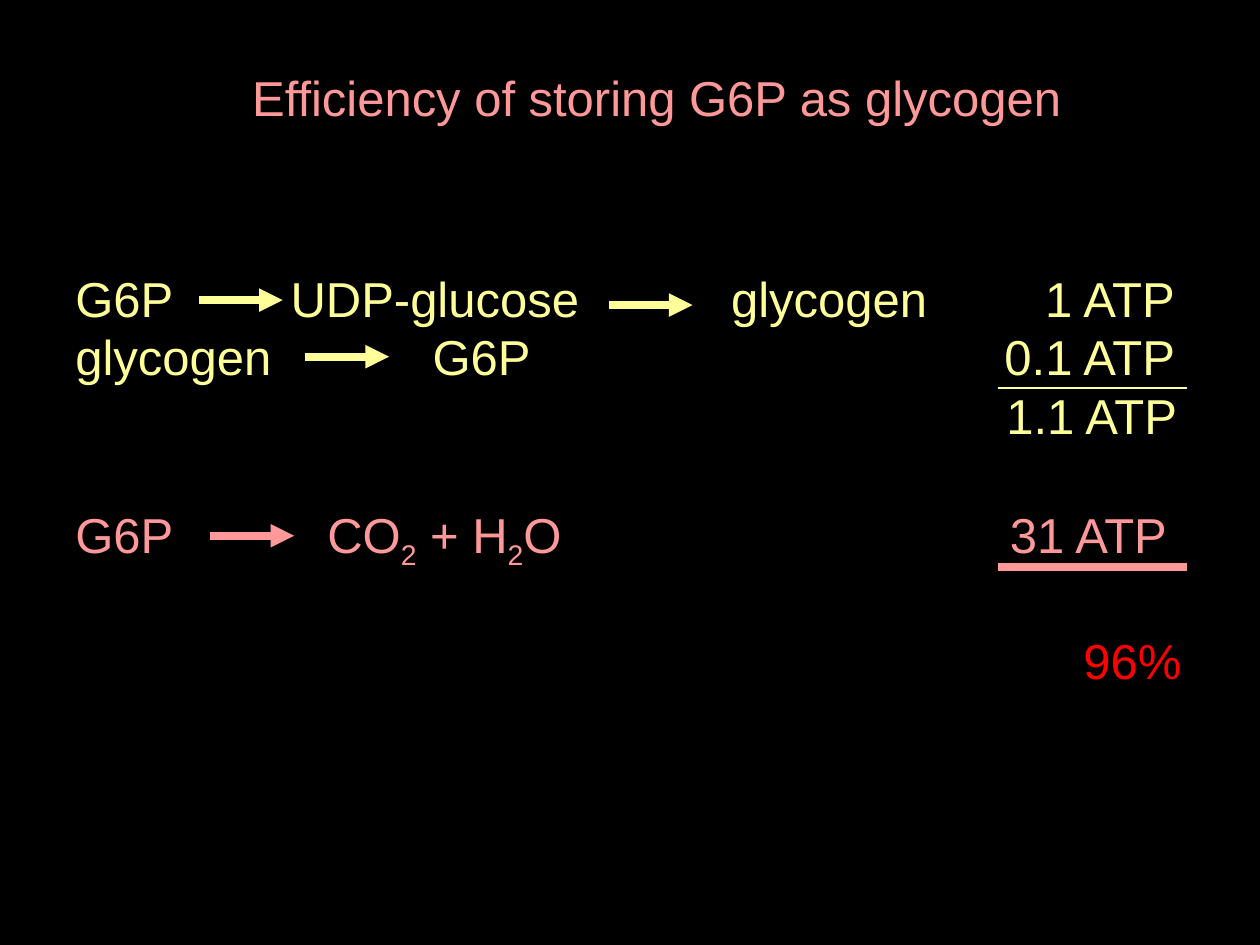
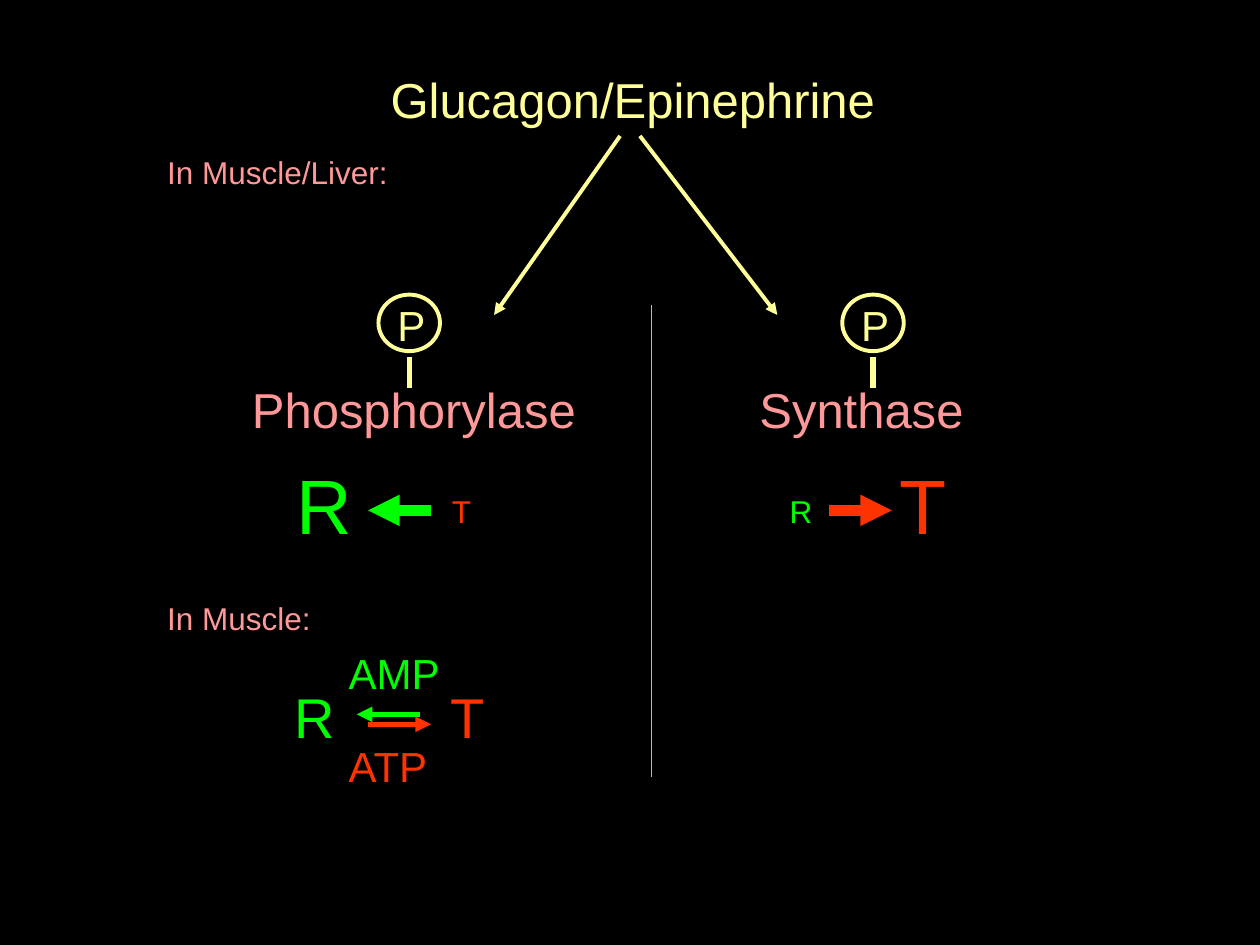
from lxml.etree import SubElement
from pptx import Presentation
from pptx.dml.color import RGBColor
from pptx.enum.shapes import MSO_CONNECTOR as Conn, MSO_SHAPE as Shape
from pptx.enum.text import MSO_ANCHOR as Anchor, PP_ALIGN as Align
from pptx.oxml.ns import qn
from pptx.util import Cm, Pt

FONT = "Arial"
BLACK, PINK, YELLOW = "000000", "FF9999", "FFFF99"
GREEN, ORANGE, RED = "00FF00", "FF3300", "FF0000"
BODY_SIZE = 28
BLANK_LINE = 34

EFFICIENCY_TITLE = ("Efficiency of storing G6P as glycogen", 4.83, 1.24, 16.89, PINK)
HORMONE_TITLE = ("Glucagon/Epinephrine", 7.62, 1.27, 10.31, YELLOW)

# pieces alternate between normal text and subscript
REACTIONS = [
    (0, YELLOW, [4.34, 13.22, 19.55], ["G6P\tUDP-glucose\tglycogen\t1 ATP"]),
    (0, YELLOW, [7.2, 18.73], ["glycogen\tG6P\t0.1 ATP"]),
    (0, YELLOW, [18.77], ["\t1.1 ATP"]),
    (BLANK_LINE, PINK, [5.08, 18.84], ["G6P\tCO", "2", " + H", "2", "O\t31 ATP"]),
    (BLANK_LINE, RED, [20.32], ["\t96%"]),
]
REACTION_ARROWS = [
    (4.01, 6.05, YELLOW),
    (12.27, 6.15, YELLOW),
    (6.15, 7.19, YELLOW),
    (4.24, 10.8, PINK),
]
SUM_RULES = [(7.82, YELLOW, 1.5), (11.43, PINK, 4.5)]

LABELS = [
    ("In Muscle/Liver:", 3.12, 2.97, 4.95, 18, PINK),
    ("Phosphorylase", 4.83, 7.52, 7.06, 28, PINK),
    ("Synthase", 15.06, 7.52, 4.62, 28, PINK),
    ("R", 5.72, 9.09, 1.63, 44, GREEN),
    ("T", 8.86, 9.8, 0.89, 18, ORANGE),
    ("R", 15.67, 9.8, 0.97, 18, GREEN),
    ("T", 17.88, 9.09, 1.45, 44, ORANGE),
    ("In Muscle:", 3.12, 11.96, 3.4, 18, PINK),
    ("R", 5.69, 13.64, 1.32, 32, GREEN),
    ("T", 8.84, 13.64, 1.19, 32, ORANGE),
    ("AMP", 6.78, 12.93, 2.34, 24, GREEN),
    ("ATP", 6.78, 14.81, 2.16, 24, ORANGE),
]
PATHWAY_ARROWS = [
    (12.5, 2.74, 9.96, 6.35, YELLOW, 2.25),
    (12.9, 2.74, 15.67, 6.35, YELLOW, 2.25),
    (8.69, 10.29, 7.42, 10.29, GREEN, 6),
    (16.71, 10.29, 17.98, 10.29, ORANGE, 6),
    (8.46, 14.4, 7.19, 14.4, GREEN, 3),
    (7.42, 14.6, 8.69, 14.6, ORANGE, 3),
]
DIVIDER = (13.13, 6.15, 13.13, 15.67, PINK, 0.75)
PHOSPHATE_CENTRES = [8.25, 17.6]


def rgb(value):
    return RGBColor.from_string(value)


def line_height(size):
    return Cm(size * 0.0423 + 0.25)


def style(p, size, color):
    p.alignment = Align.LEFT
    p.font.name, p.font.size = FONT, Pt(size)
    p.font.color.rgb = rgb(color)


def add_label(shapes, text, x, y, w, size, color):
    sp = shapes.add_textbox(Cm(x), Cm(y), Cm(w), line_height(size))
    tf = sp.text_frame
    tf.word_wrap = False
    tf.text = text
    style(tf.paragraphs[0], size, color)


def add_line(s, x1, y1, x2, y2, color, width, arrow=False):
    c = s.shapes.add_connector(Conn.STRAIGHT, Cm(x1), Cm(y1), Cm(x2), Cm(y2))
    c.line.color.rgb = rgb(color)
    c.line.width = Pt(width)
    if arrow:
        SubElement(c.line._get_or_add_ln(), qn("a:tailEnd"), type="triangle")
    SubElement(c._element.spPr, qn("a:effectLst"))


def add_slide(prs, text, x, y, w, color):
    s = prs.slides.add_slide(prs.slide_layouts[5])
    sp = s.shapes.title
    sp.left, sp.top, sp.width, sp.height = Cm(x), Cm(y), Cm(w), line_height(BODY_SIZE)
    tf = sp.text_frame
    tf.text = text
    tf.word_wrap = False
    tf.vertical_anchor = Anchor.TOP
    style(tf.paragraphs[0], BODY_SIZE, color)
    return s


def add_reactions(s):
    sp = s.shapes.add_textbox(Cm(1.27), Cm(5.28), Cm(22.96), Cm(9.75))
    tf = sp.text_frame
    tf.word_wrap = True
    for i, (gap, color, tabs, pieces) in enumerate(REACTIONS):
        p = tf.add_paragraph() if i else tf.paragraphs[0]
        tab_list = SubElement(p._p.get_or_add_pPr(), qn("a:tabLst"))
        for tab in tabs:
            SubElement(tab_list, qn("a:tab"), pos=str(int(Cm(tab))), algn="l")
        style(p, BODY_SIZE, color)
        p.space_before = Pt(gap)
        for j, piece in enumerate(pieces):
            r = p.add_run()
            r.text = piece
            if j % 2:
                r._r.get_or_add_rPr().set("baseline", "-25000")


def add_phosphate(s, centre):
    group = s.shapes.add_group_shape()
    add_label(group.shapes, "P", centre - 0.49, 5.92, 1.07, 24, YELLOW)
    sp = group.shapes.add_shape(
        Shape.OVAL, Cm(centre - 0.62), Cm(5.94), Cm(1.24), Cm(1.14))
    sp.shadow.inherit = False
    sp.fill.background()
    sp.line.color.rgb = rgb(YELLOW)
    sp.line.width = Pt(2.25)
    add_line(s, centre, 7.19, centre, 7.82, YELLOW, 3)


def build_efficiency(prs):
    s = add_slide(prs, *EFFICIENCY_TITLE)
    add_reactions(s)
    for x, y, color in REACTION_ARROWS:
        add_line(s, x, y, x + 1.69, y, color, 4.5, arrow=True)
    for y, color, width in SUM_RULES:
        add_line(s, 20.12, y, 23.93, y, color, width)


def build_hormones(prs):
    s = add_slide(prs, *HORMONE_TITLE)
    for label in LABELS:
        add_label(s.shapes, *label)
    for centre in PHOSPHATE_CENTRES:
        add_phosphate(s, centre)
    for arrow in PATHWAY_ARROWS:
        add_line(s, *arrow, arrow=True)
    add_line(s, *DIVIDER)


def main():
    prs = Presentation()
    prs.slide_width, prs.slide_height = Cm(25.4), Cm(19.05)
    fill = prs.slide_master.background.fill
    fill.solid()
    fill.fore_color.rgb = rgb(BLACK)
    build_efficiency(prs)
    build_hormones(prs)
    prs.save("out.pptx")


if __name__ == "__main__":
    main()
